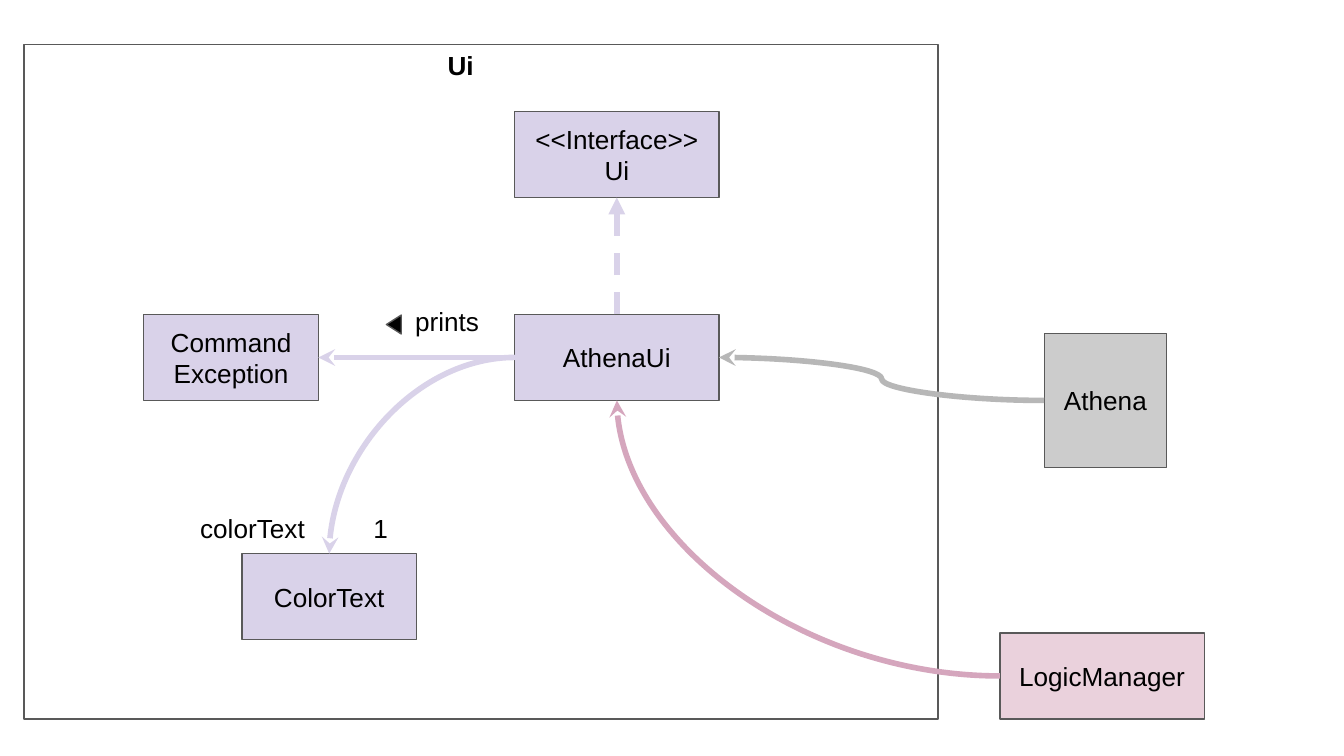
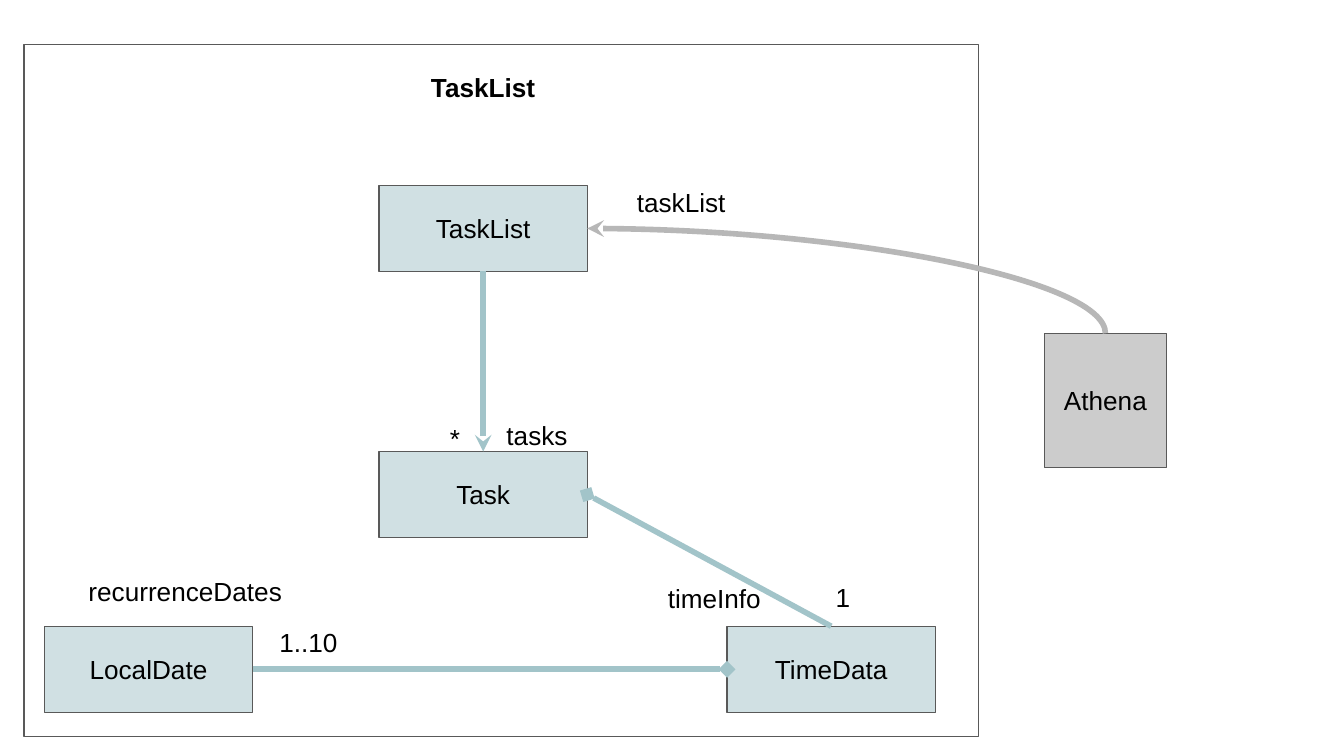
from typing import NamedTuple

from lxml.etree import SubElement
from pptx import Presentation
from pptx.dml.color import RGBColor
from pptx.enum.dml import MSO_LINE_DASH_STYLE as Dash
from pptx.enum.shapes import MSO_CONNECTOR as Connector, MSO_SHAPE as Shape
from pptx.enum.text import MSO_ANCHOR as Anchor, MSO_AUTO_SIZE as AutoSize, PP_ALIGN as Align
from pptx.oxml.ns import qn
from pptx.util import Pt

PX = 9144
PAGE_WIDTH = 1000
FONT = "Arial"
TEXT_SIZE = 14
INSET = 10
BOX_HEIGHT = 64
TOP, LEFT, BOTTOM, RIGHT = range(4)
COLORS = {
    "ink": "000000",
    "outline": "595959",
    "athena": "CCCCCC",
    "athena_line": "B7B7B7",
    "ui": "D9D2E9",
    "logic": "EAD1DC",
    "logic_line": "D5A6BD",
    "task": "D0E0E3",
    "task_line": "A2C4C9",
}


class Box(NamedTuple):
    left: int
    top: int
    width: int
    height: int

    def inner(self, left, top, width, height):
        return Box(self.left + left, self.top + top, width, height)

    def emu(self):
        return [length * PX for length in self]


def color(name):
    return RGBColor.from_string(COLORS[name])


def write(shape, text, align=Align.LEFT, anchor=Anchor.TOP, bold=False):
    frame = shape.text_frame
    frame.text = text
    frame.word_wrap = True
    frame.auto_size = AutoSize.NONE
    frame.vertical_anchor = anchor
    frame.margin_left = frame.margin_right = INSET * PX
    frame.margin_top = frame.margin_bottom = INSET * PX
    for para in frame.paragraphs:
        para.alignment = align
        for span in para.runs:
            span.font.name = FONT
            span.font.size = Pt(TEXT_SIZE)
            span.font.bold = bold
            span.font.color.rgb = color("ink")


def outlined(page, box, fill=None, preset=Shape.RECTANGLE):
    shape = page.shapes.add_shape(preset, *box.emu())
    shape.shadow.inherit = False
    shape.line.color.rgb = color("outline")
    shape.line.width = Pt(0.75)
    if fill:
        shape.fill.solid()
        shape.fill.fore_color.rgb = color(fill)
    else:
        shape.fill.background()
    return shape


def class_box(page, box, text, fill):
    shape = outlined(page, box, fill)
    write(shape, text, Align.CENTER, Anchor.MIDDLE)
    return shape


def label(page, box, text):
    write(page.shapes.add_textbox(*box.emu()), text)


def link(page, start, start_side, end, end_side, line, arrow,
         kind=Connector.STRAIGHT, arrow_end="tailEnd", dashed=False, bend=False):
    connector = page.shapes.add_connector(kind, 0, 0, 0, 0)
    connector.begin_connect(start, start_side)
    connector.end_connect(end, end_side)
    connector.line.color.rgb = color(line)
    connector.line.width = Pt(3)
    if dashed:
        connector.line.dash_style = Dash.DASH
    properties = connector._element.spPr
    if bend:
        properties.find(qn("a:prstGeom")).set("prst", "curvedConnector2")
    SubElement(properties.find(qn("a:ln")), qn("a:" + arrow_end), type=arrow)
    SubElement(properties, qn("a:effectLst"))


def package_page(deck, area, title, title_box, align):
    page = deck.slides.add_slide(deck.slide_layouts[5])
    heading = page.shapes.title
    heading.left, heading.top, heading.width, heading.height = title_box.emu()
    write(heading, title, align, bold=True)
    outlined(page, area)
    return page


def athena_box(page, area):
    return class_box(page, area.inner(759, 215, 91, 100), "Athena", "athena")


def ui_page(deck, area):
    page = package_page(deck, area, "Ui", area.inner(305, -6, 85, 42), Align.LEFT)
    athena = athena_box(page, area)
    interface, athena_ui, exception, color_text, logic = [
        class_box(page, area.inner(left, top, width, BOX_HEIGHT), text, fill)
        for text, left, top, width, fill in [
            ("<<Interface>>\nUi", 365, 50, 152, "ui"),
            ("AthenaUi", 365, 201, 152, "ui"),
            ("Command Exception", 89, 201, 130, "ui"),
            ("ColorText", 162, 379, 130, "ui"),
            ("LogicManager", 726, 438, 152, "logic"),
        ]
    ]
    curve = Connector.CURVE
    link(page, athena, LEFT, athena_ui, RIGHT, "athena_line", "stealth", curve)
    link(page, athena_ui, LEFT, exception, RIGHT, "ui", "stealth", curve)
    link(page, logic, LEFT, athena_ui, BOTTOM, "logic_line", "stealth", curve, bend=True)
    link(page, athena_ui, LEFT, color_text, TOP, "ui", "stealth", curve, bend=True)
    link(page, athena_ui, TOP, interface, BOTTOM, "ui", "triangle", dashed=True)

    pointer = outlined(page, area.inner(268, 203, 14, 11), "ink", Shape.FLOWCHART_MERGE)
    pointer.rotation = 90
    for text, left, top, width in [
        ("prints", 281, 184, 72),
        ("colorText", 121, 338, 99),
        ("1", 250, 338, 34),
    ]:
        label(page, area.inner(left, top, width, 42), text)


def task_list_page(deck, area):
    page = package_page(deck, area, "TaskList", area.inner(287, 10, 109, 42), Align.CENTER)
    athena = athena_box(page, area)
    task_list, task, time_data, local_date = [
        class_box(page, area.inner(left, top, 155, BOX_HEIGHT), text, "task")
        for text, left, top in [
            ("TaskList", 264, 105),
            ("Task", 264, 303),
            ("TimeData", 523, 433),
            ("LocalDate", 15, 433),
        ]
    ]
    link(page, task_list, BOTTOM, task, TOP, "task_line", "stealth")
    link(page, time_data, TOP, task, RIGHT, "task_line", "diamond")
    link(page, local_date, RIGHT, time_data, LEFT, "task_line", "diamond")
    link(page, task_list, RIGHT, athena, TOP, "athena_line", "stealth",
         Connector.CURVE, arrow_end="headEnd", bend=True)

    for text, left, top, width, height in [
        ("tasks", 349, 269, 97, 26),
        ("*", 307, 272, 27, 19),
        ("recurrenceDates", 38, 385, 177, 51),
        ("1..10", 180, 423, 84, 51),
        ("timeInfo", 469, 390, 91, 42),
        ("taskList", 446, 96, 104, 42),
        ("1", 594, 390, 84, 19),
    ]:
        label(page, area.inner(left, top, width, height), text)


def main():
    deck = Presentation()
    deck.slide_width = PAGE_WIDTH * PX
    deck.slide_height = PAGE_WIDTH * PX * 9 // 16
    ui_page(deck, Box(18, 33, 680, 502))
    task_list_page(deck, Box(18, 33, 710, 515))
    deck.save("out.pptx")


if __name__ == "__main__":
    main()
